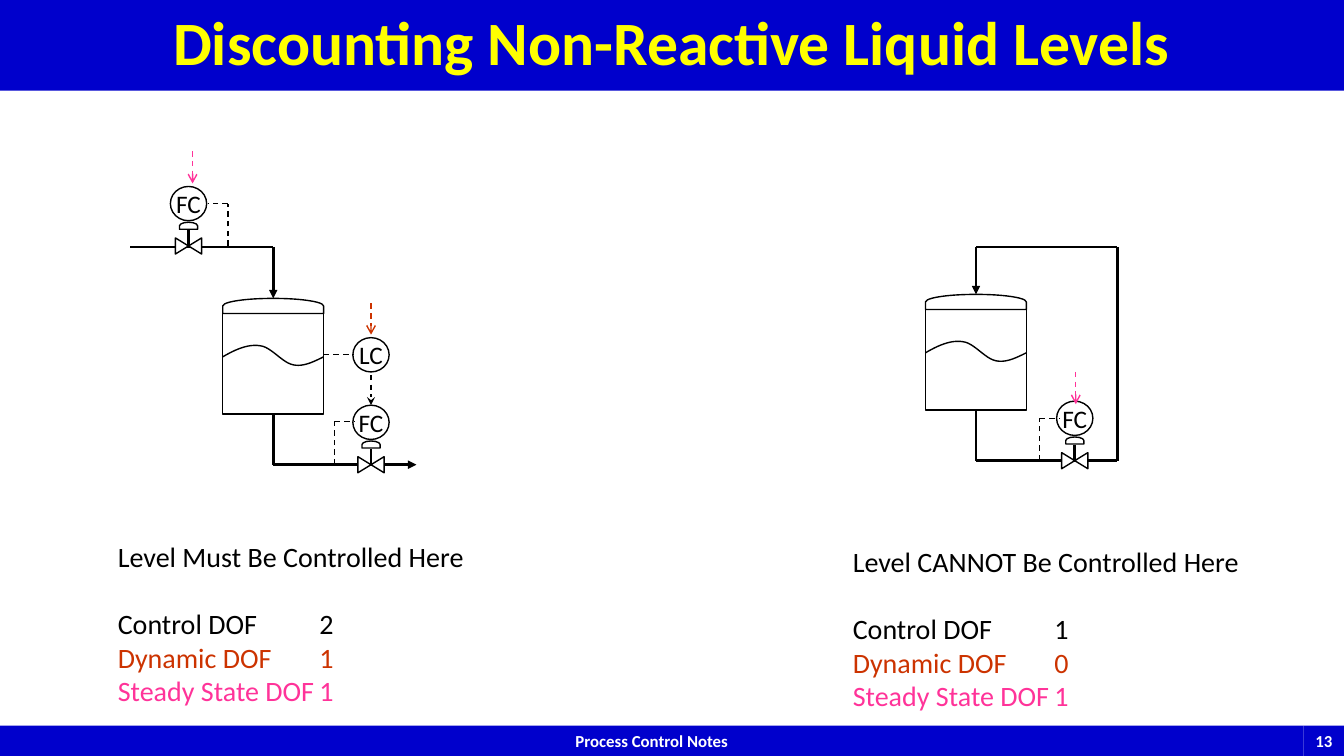
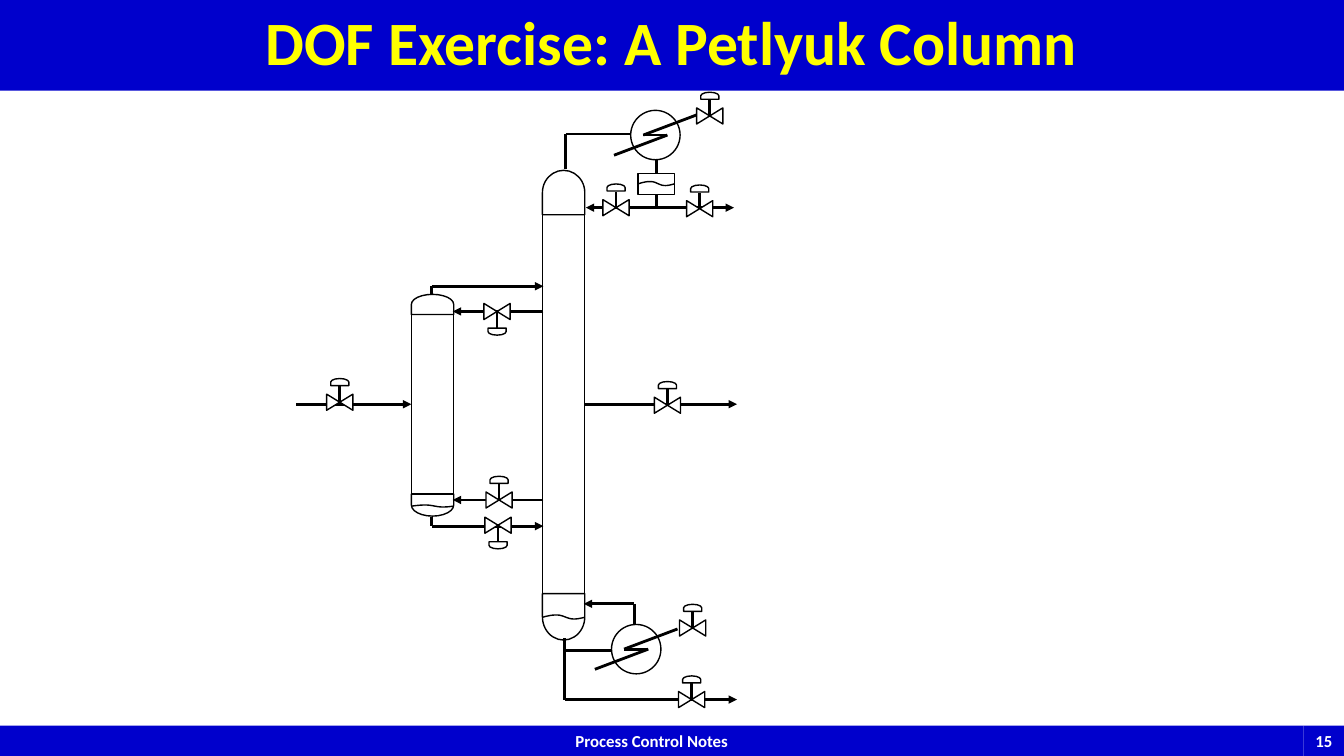
"""Builds two process control slides: liquid levels and a Petlyuk column."""
import itertools
from dataclasses import dataclass

import pptx
import pptx.dml.color
import pptx.enum.dml
import pptx.enum.shapes
import pptx.enum.text
import pptx.oxml.ns
import pptx.oxml.xmlchemy
import pptx.util

SHAPE = pptx.enum.shapes.MSO_SHAPE
ALIGN = pptx.enum.text.PP_ALIGN
ANCHOR = pptx.enum.text.MSO_ANCHOR


@dataclass(frozen=True)
class Theme:
    font: str = "Calibri"
    band: str = "0000CC"
    title: str = "FFFF00"
    white: str = "FFFFFF"
    ink: str = "000000"
    dynamic: str = "CC3300"
    steady: str = "FF3399"
    title_size: int = 44
    body_size: int = 20
    tag_size: int = 18
    footer_size: int = 12
    thin: int = 1
    thick: int = 2


THEME = Theme()
INCH = 2.54
WIDTH, HEIGHT = 13.33, 7.5
FOOTER = "Process Control Notes"
TOP, LEFT, BOTTOM, RIGHT = range(4)
WAVE = [(0, 0.6), (0.12, 0.25), (0.25, -0.05), (0.37, 0.05), (0.48, 0.1),
        (0.59, 0.9), (0.7, 1), (0.8, 1.1), (0.9, 0.85), (1, 0.6)]
ZIGZAG = [(0.41, -0.2), (-0.12, 0), (0.12, 0), (-0.41, 0.2)]

LEVELS = {
    "title": "Discounting Non-Reactive Liquid Levels",
    "number": "13",
    "vessels": {
        "open tank": dict(box=(2.21, 3.11, 1, 1), dome=0.15, wave=(3.42, 0.2)),
        "closed tank": dict(box=(9.18, 3.07, 1, 1), dome=0.15, wave=(3.38, 0.2)),
    },
    "pipes": [
        dict(points=[(1.29, 2.45), (2.71, 2.45), (2.71, 2.96)], tail="triangle"),
        dict(points=[(2.71, 4.11), (2.71, 4.61), (4.13, 4.61)], tail="triangle",
             start=("open tank", BOTTOM)),
        dict(points=[(9.68, 4.07), (9.68, 4.57), (11.08, 4.57), (11.08, 2.45),
                     (9.68, 2.45), (9.68, 2.92)], tail="triangle",
             start=("closed tank", BOTTOM)),
    ],
    "valves_up": [(1.87, 2.44), (3.68, 4.61), (10.66, 4.57)],
    "controllers": [("FC", 1.87, 2.02), ("FC", 3.68, 4.19), ("FC", 10.66, 4.15),
                    ("LC", 3.68, 3.52)],
    "signals": [
        dict(points=[(2.26, 2.44), (2.26, 2.02), (2.06, 2.02)]),
        dict(points=[(3.32, 4.61), (3.32, 4.18), (3.52, 4.18)]),
        dict(points=[(10.31, 4.57), (10.31, 4.15), (10.51, 4.15)]),
        dict(points=[(3.21, 3.52), (3.51, 3.52)]),
        dict(points=[(3.68, 3.72), (3.68, 4.02)], tail="stealth"),
        dict(points=[(1.91, 1.5), (1.91, 1.82)], tail="arrow", color=THEME.steady),
        dict(points=[(3.68, 3.01), (3.68, 3.32)], tail="arrow", color=THEME.dynamic),
        dict(points=[(10.67, 3.69), (10.67, 4.01)], tail="arrow", color=THEME.steady),
    ],
    "summaries": [
        ((1.07, 5.3, 3.67, 1.78), "Level Must Be Controlled Here", (2, 1, 1)),
        ((8.36, 5.35, 4.06, 1.78), "Level CANNOT Be Controlled Here", (1, 0, 1)),
    ],
}

PETLYUK = {
    "title": "DOF Exercise: A Petlyuk Column",
    "number": "15",
    "vessels": {
        "column": dict(box=(5.38, 2.13, 0.42, 3.76), dome=0.44, sump=0.46, wave=(6.1, 0.04)),
        "prefractionator": dict(box=(4.08, 3.12, 0.42, 1.78), dome=0.2, sump=0.22,
                                wave=(5.01, 0.02)),
        "drum": dict(box=(6.33, 1.72, 0.36, 0.21), wave=(1.8, 0.04)),
    },
    "exchangers": [(6.5, 1.34), (6.31, 6.44)],
    "pipes": [
        dict(points=[(5.61, 1.68), (5.61, 1.33), (6.25, 1.33)]),
        dict(points=[(6.51, 1.58), (6.51, 1.72)], end=("drum", TOP)),
        dict(points=[(6.51, 1.93), (6.51, 2.06)], start=("drum", BOTTOM)),
        dict(points=[(5.81, 2.06), (7.28, 2.06)], head="triangle", tail="triangle"),
        dict(points=[(5.6, 6.33), (5.6, 6.94), (7.31, 6.94)], tail="triangle"),
        dict(points=[(5.6, 6.45), (6.07, 6.45)]),
        dict(points=[(6.29, 6.19), (6.29, 5.99), (5.79, 5.99)], tail="triangle"),
        dict(points=[(2.94, 4.01), (4.08, 4.01)], tail="triangle",
             end=("prefractionator", LEFT)),
        dict(points=[(4.28, 2.93), (4.28, 2.84), (5.39, 2.84)], tail="triangle"),
        dict(points=[(4.28, 5.13), (4.28, 5.22), (5.39, 5.22)], tail="triangle"),
        dict(points=[(5.39, 3.09), (4.49, 3.09)], tail="triangle"),
        dict(points=[(5.39, 4.96), (4.49, 4.96)], tail="triangle"),
        dict(points=[(5.8, 4.01), (7.31, 4.01)], tail="triangle", start=("column", RIGHT)),
    ],
    "valves_up": [(3.37, 3.99), (6.87, 6.23), (4.95, 4.96), (7.04, 1.15),
                  (6.86, 6.94), (6.62, 4.02), (6.94, 2.07), (6.11, 2.06)],
    "valves_down": [(4.94, 5.21), (4.93, 3.09)],
}


def length(inches):
    return pptx.util.Cm(inches * INCH)


def rgb(color):
    return pptx.dml.color.RGBColor.from_string(color)


def new_element(tag, **attributes):
    element = pptx.oxml.xmlchemy.OxmlElement(tag)
    for name, value in attributes.items():
        element.set(name, value)
    return element


def style_line(line, weight, color=THEME.ink):
    line.color.rgb = rgb(color)
    line.width = pptx.util.Pt(weight)


def style_runs(paragraph, size, color, bold=False):
    for run in paragraph.runs:
        run.font.name = THEME.font
        run.font.size = pptx.util.Pt(size)
        run.font.bold = bold
        run.font.color.rgb = rgb(color)


def add_outline(slide, kind, box, fill=None, rotation=0):
    shape = slide.shapes.add_shape(kind, *map(length, box))
    shape.shadow.inherit = False
    shape.rotation = rotation
    if fill:
        shape.fill.solid()
        shape.fill.fore_color.rgb = rgb(fill)
    else:
        shape.fill.background()
    style_line(shape.line, THEME.thin)
    return shape


def centered(x, y, width, height):
    return x - width / 2, y - height / 2, width, height


def add_label(shape, text, size, color, bold=False, wrap=True):
    frame = shape.text_frame
    frame.margin_left = frame.margin_right = frame.margin_top = frame.margin_bottom = 0
    frame.word_wrap = wrap
    frame.vertical_anchor = ANCHOR.MIDDLE
    frame.text = text
    paragraph = frame.paragraphs[0]
    paragraph.alignment = ALIGN.CENTER
    style_runs(paragraph, size, color, bold)
    return paragraph


def add_band(slide, box, text, size, color):
    shape = add_outline(slide, SHAPE.RECTANGLE, box, THEME.band)
    shape.line.fill.background()
    return add_label(shape, text, size, color, bold=True)


def add_frame(slide, title, number):
    white, size = THEME.white, THEME.footer_size
    add_band(slide, (0, 7.2, 12.93, 0.3), FOOTER, size, white)
    add_band(slide, (12.93, 7.2, 0.4, 0.3), number, size, white)
    add_band(slide, (0, 0, WIDTH, 0.9), title, THEME.title_size, THEME.title).line_spacing = 0.9


def add_route(slide, points, weight=THEME.thick, color=THEME.ink, dashed=False,
              head=None, tail=None, start=None, end=None):
    connectors = []
    for begin, finish in itertools.pairwise(points):
        connector = slide.shapes.add_connector(
            pptx.enum.shapes.MSO_CONNECTOR.STRAIGHT, *map(length, begin + finish))
        style_line(connector.line, weight, color)
        if dashed:
            connector.line.dash_style = pptx.enum.dml.MSO_LINE.DASH
        connector.element.spPr.append(new_element("a:effectLst"))
        connectors.append(connector)
    for connector, tag, kind in ((connectors[0], "a:headEnd", head),
                                 (connectors[-1], "a:tailEnd", tail)):
        if kind:
            outline = connector.element.spPr.find(pptx.oxml.ns.qn("a:ln"))
            outline.append(new_element(tag, type=kind))
    if start:
        connectors[0].begin_connect(*start)
    if end:
        connectors[-1].end_connect(*end)


def bezier_point(corners, t):
    weights = ((1 - t) ** 3, 3 * t * (1 - t) ** 2, 3 * t ** 2 * (1 - t), t ** 3)
    return tuple(sum(w * corner[axis] for w, corner in zip(weights, corners)) for axis in (0, 1))


def add_wave(slide, left, top, width, height, steps=12):
    curve = [WAVE[0]]
    for first in range(0, len(WAVE) - 1, 3):
        curve += [bezier_point(WAVE[first:first + 4], step / steps)
                  for step in range(1, steps + 1)]
    points = [(length(left + x * width), length(top + y * height)) for x, y in curve]
    builder = slide.shapes.build_freeform(*points[0])
    builder.add_line_segments(points[1:], close=False)
    shape = builder.convert_to_shape()
    shape.shadow.inherit = False
    shape.fill.background()
    style_line(shape.line, THEME.thin)


def add_dome(slide, x, y, width, height, up=True):
    add_outline(slide, SHAPE.FLOWCHART_DELAY, centered(x, y, height, width),
                rotation=270 if up else 90)


def add_vessel(slide, box, wave, dome=0, sump=0):
    left, top, width, height = box
    shape = add_outline(slide, SHAPE.RECTANGLE, box)
    middle = left + width / 2
    if dome:
        add_dome(slide, middle, top - dome / 2, width, dome)
    if sump:
        add_dome(slide, middle, top + height + sump / 2, width, sump, up=False)
    add_wave(slide, left, wave[0], width, wave[1])
    return shape


def add_valve(slide, x, y, up=True):
    direction = -1 if up else 1
    add_outline(slide, SHAPE.FLOWCHART_COLLATE, centered(x, y, 0.16, 0.26),
                THEME.white, rotation=270)
    add_dome(slide, x, y + direction * 0.2, 0.18, 0.07, up)
    add_route(slide, [(x, y), (x, y + direction * 0.16)])


def add_exchanger(slide, x, y):
    add_outline(slide, SHAPE.OVAL, centered(x, y, 0.49, 0.49))
    add_route(slide, [(x + across, y + down) for across, down in ZIGZAG])


def add_summary(slide, box, heading, counts):
    shape = slide.shapes.add_textbox(*map(length, box))
    frame = shape.text_frame
    frame.word_wrap = True
    labels = ("Control DOF", "Dynamic DOF", "Steady State DOF")
    rows = [f"{label}\t{count}" for label, count in zip(labels, counts)]
    frame.text = "\n".join([heading] + rows)
    frame.paragraphs[1].space_before = pptx.util.Pt(24)
    for paragraph in frame.paragraphs[1:]:
        stops = new_element("a:tabLst")
        stops.append(new_element("a:tab", pos=str(int(length(2))), algn="l"))
        paragraph._p.get_or_add_pPr().append(stops)
    colors = (THEME.ink, THEME.ink, THEME.dynamic, THEME.steady)
    for paragraph, color in zip(frame.paragraphs, colors):
        style_runs(paragraph, THEME.body_size, color)


def add_diagram(presentation, content):
    slide = presentation.slides.add_slide(presentation.slide_layouts[6])
    add_frame(slide, content["title"], content["number"])
    vessels = {name: add_vessel(slide, **vessel) for name, vessel in content["vessels"].items()}
    for center in content.get("exchangers", []):
        add_exchanger(slide, *center)
    for pipe in content["pipes"]:
        joins = {side: (vessels[pipe[side][0]], pipe[side][1])
                 for side in ("start", "end") if side in pipe}
        add_route(slide, **{**pipe, **joins})
    for key, up in (("valves_up", True), ("valves_down", False)):
        for center in content.get(key, []):
            add_valve(slide, *center, up)
    for tag, x, y in content.get("controllers", []):
        circle = add_outline(slide, SHAPE.OVAL, centered(x, y, 0.36, 0.34))
        add_label(circle, tag, THEME.tag_size, THEME.ink, wrap=False)
    for signal in content.get("signals", []):
        add_route(slide, weight=THEME.thin, dashed=True, **signal)
    for summary in content.get("summaries", []):
        add_summary(slide, *summary)


def main():
    presentation = pptx.Presentation()
    presentation.slide_width = length(WIDTH)
    presentation.slide_height = length(HEIGHT)
    for content in (LEVELS, PETLYUK):
        add_diagram(presentation, content)
    presentation.save("out.pptx")


if __name__ == "__main__":
    main()
